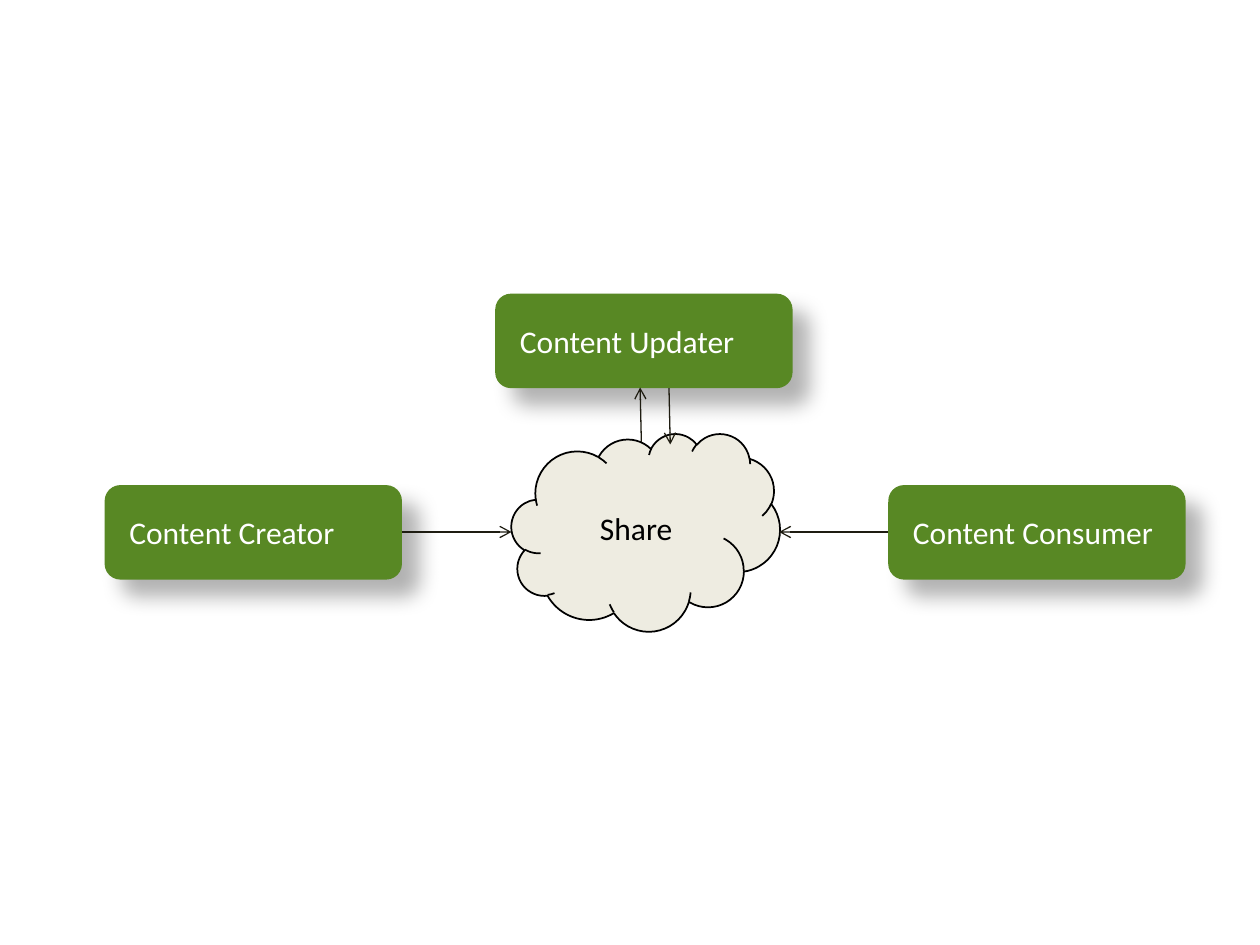
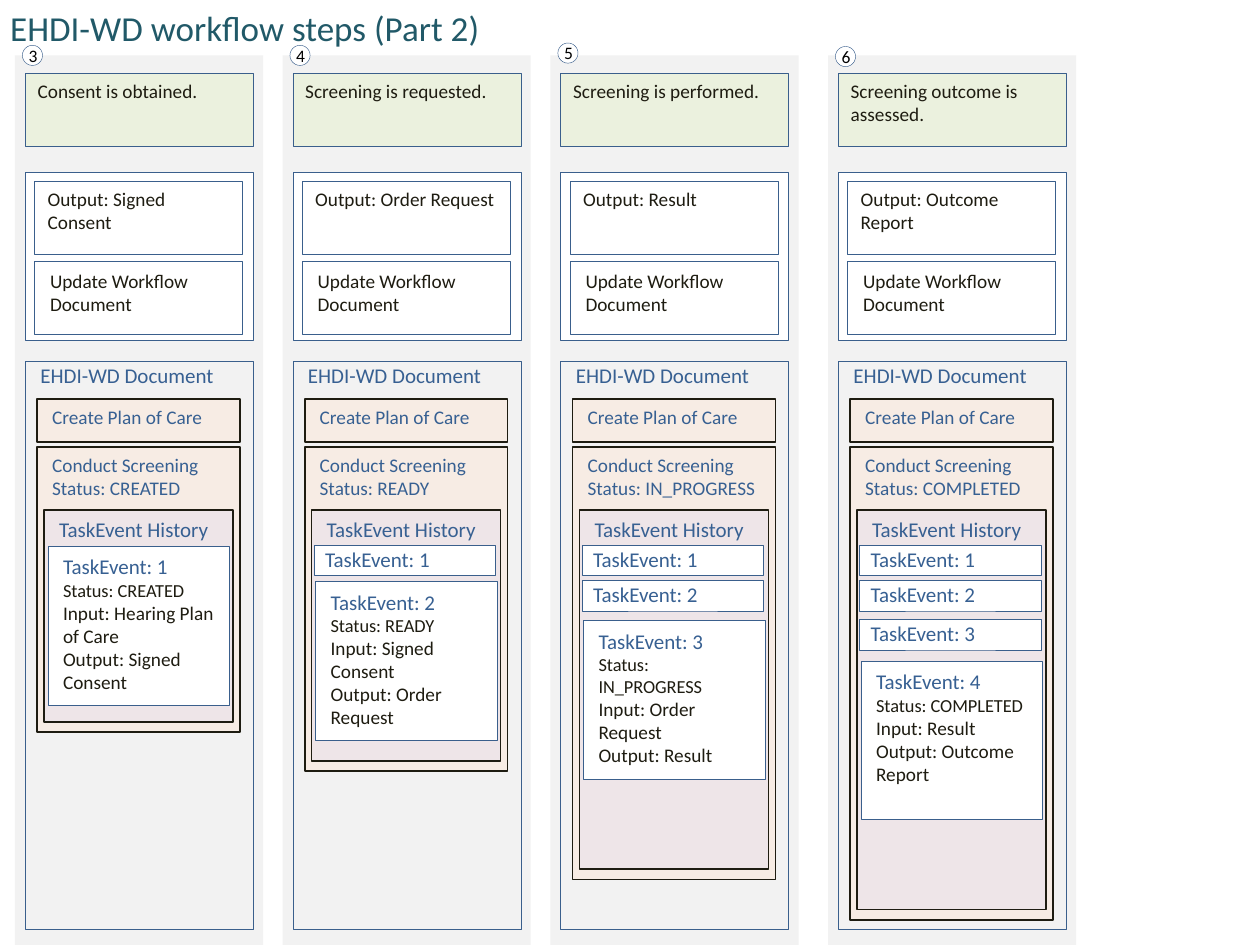
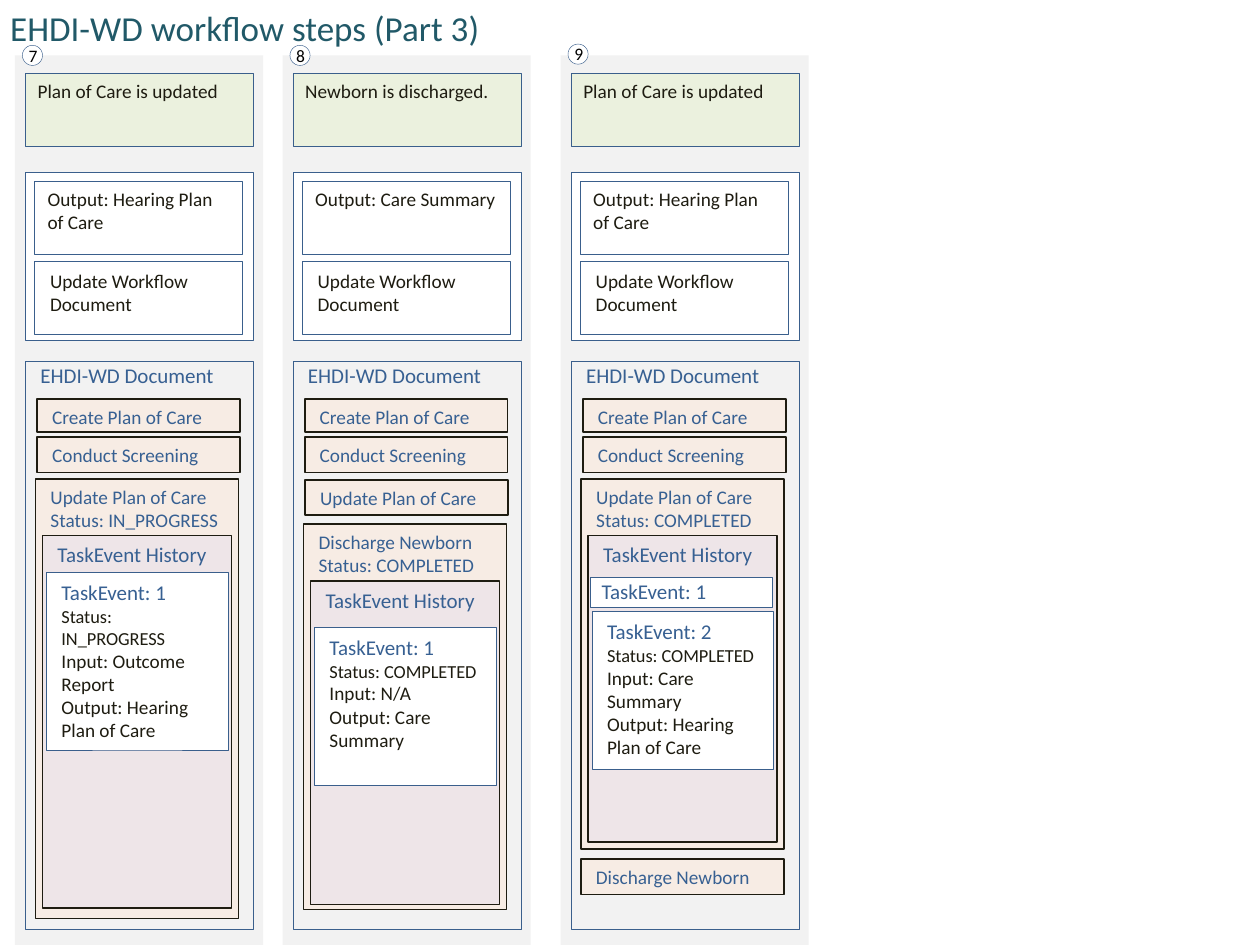
"""Build three slides on the EHDI-WD content sharing workflow."""
from dataclasses import dataclass

from lxml.etree import SubElement
from pptx import Presentation
from pptx.dml.color import RGBColor
from pptx.enum.shapes import MSO_CONNECTOR as Connector, MSO_SHAPE as Shape
from pptx.enum.text import MSO_ANCHOR as Anchor, MSO_AUTO_SIZE as AutoSize, PP_ALIGN as Align
from pptx.oxml.ns import qn
from pptx.util import Pt

COLORS = {
    "actor": "588824",
    "cloud": "EEECE1",
    "title": "215968",
    "heading": "376092",
    "ink": "1E1C11",
    "outline": "3A5F8C",
    "band": "F2F2F2",
    "step": "EBF1DE",
    "task": "FDE8D7",
    "history": "E6E0EC",
    "white": "FFFFFF",
    "black": "000000",
}
FONT = "Calibri"
DEFAULT_INSETS = (7.2, 3.6, 7.2, 3.6)
TASK_INSETS = (8.6, 3.6, 7.2, 3.6)
ACTOR_INSETS = (11.5, 3.6, 7.2, 3.6)
ACTOR_SIZE = (169.9, 54)
TASK_WIDTH = 116
EVENT_WIDTH = 103.7
EVENT_TOPS = (311.8, 331.9, 354.2, 377.3)


@dataclass
class Step:
    """One workflow column: its place, wording and nested task boxes."""

    number: int
    left: float
    badge_top: float
    summary: str
    output: str
    bars: list
    task: str
    status: str
    task_left: float
    task_span: tuple
    history_span: tuple
    event_tops: tuple
    event_input: str
    event_height: float = 90.7


def screening_step(number, left, badge_top, summary, output, status, task_height, event_input):
    """Describe a step of the screening task, with one event for each step so far."""
    return Step(number, left, badge_top, summary, output,
                [("Create Plan of Care", 12.6, 228.2, 24.5)],
                "Conduct Screening", status, 12.6,
                (255.6, task_height), (291.6, task_height - 41.8),
                EVENT_TOPS[:number - 2], event_input)


FINISHED_BARS = [("Create Plan of Care", 12.6, 228.2, 18.7),
                 ("Conduct Screening", 12.6, 249.8, 20.2)]
UPDATE_BAR = ("Update Plan of Care", 12.9, 274.3, 20.2)
DISCHARGE_BAR = ("Discharge Newborn", 11.5, 491, 20.2)

SCREENING_STEPS = [
    screening_step(3, 8.6, 25.9, "Consent is obtained.", "Signed Consent",
                   "CREATED", 162.7, "Hearing Plan of Care"),
    screening_step(4, 161.5, 25.9, "Screening is requested.", "Order Request",
                   "READY", 185, "Signed Consent"),
    screening_step(5, 314.6, 24.6, "Screening is performed.", "Result",
                   "IN_PROGRESS", 247, "Order Request"),
    screening_step(6, 473.2, 26.6, "Screening outcome is assessed.", "Outcome Report",
                   "COMPLETED", 270, "Result"),
]
DISCHARGE_STEPS = [
    Step(7, 8.6, 25.9, "Plan of Care is updated", "Hearing Plan of Care", FINISHED_BARS,
         "Update Plan of Care", "IN_PROGRESS", 11.7, (273.6, 251.3), (306, 213.1),
         (326.5,), "Outcome Report", 101.5),
    Step(8, 161.5, 25.9, "Newborn is discharged.", "Care Summary",
         FINISHED_BARS + [UPDATE_BAR],
         "Discharge Newborn", "COMPLETED", 12, (299.5, 220.3), (332, 185),
         (357.8,), "N/A"),
    Step(9, 320.4, 25.2, "Plan of Care is updated", "Hearing Plan of Care",
         FINISHED_BARS + [DISCHARGE_BAR],
         "Update Plan of Care", "COMPLETED", 11.7, (273.6, 211.7), (306, 175),
         (329.8, 348.7), "Care Summary"),
]


def rgb(name):
    """Return the named colour."""
    return RGBColor.from_string(COLORS[name])


def write_lines(frame, lines, insets=DEFAULT_INSETS, anchor=Anchor.TOP, align=Align.LEFT):
    """Write (text, size, colour) lines as the paragraphs of a text frame."""
    frame.word_wrap = True
    frame.vertical_anchor = anchor
    frame.margin_left, frame.margin_top, frame.margin_right, frame.margin_bottom = map(Pt, insets)
    for index, (text, size, color) in enumerate(lines):
        para = frame.paragraphs[0] if index == 0 else frame.add_paragraph()
        para.text = text
        para.alignment = align
        para.font.name = FONT
        para.font.size = Pt(size)
        para.font.color.rgb = rgb(color)


def add_box(shapes, place, fill=None, line=None, width=0.25, kind=Shape.RECTANGLE, opacity=100):
    """Add a preset shape without a shadow."""
    box = shapes.add_shape(kind, *map(Pt, place))
    box.shadow.inherit = False
    if fill:
        box.fill.solid()
        box.fill.fore_color.rgb = rgb(fill)
        if opacity < 100:
            color = box.element.spPr.find(".//" + qn("a:srgbClr"))
            SubElement(color, qn("a:alpha"), val=str(opacity * 1000))
    else:
        box.fill.background()
    if line:
        box.line.color.rgb = rgb(line)
        box.line.width = Pt(width)
    else:
        box.line.fill.background()
    return box


def add_label(shapes, place, lines, wrap=True):
    """Add a text box that grows with its text."""
    label = shapes.add_textbox(*map(Pt, place))
    write_lines(label.text_frame, lines)
    label.text_frame.word_wrap = wrap
    label.text_frame.auto_size = AutoSize.SHAPE_TO_FIT_TEXT


def add_arrow(page, start, end):
    """Add a thin arrow that points at its end."""
    arrow = page.shapes.add_connector(Connector.STRAIGHT, *map(Pt, start + end))
    arrow.line.width = Pt(0.75)
    arrow.line.color.rgb = rgb("ink")
    properties = arrow.element.spPr
    SubElement(properties.find(qn("a:ln")), qn("a:tailEnd"), type="arrow")
    SubElement(properties, qn("a:effectLst"))


def add_actor(page, left, top, name):
    """Add a rounded actor box with a soft shadow."""
    box = add_box(page.shapes, (left, top) + ACTOR_SIZE, "actor", kind=Shape.ROUNDED_RECTANGLE)
    write_lines(box.text_frame, [(name, 18, "white")], ACTOR_INSETS, Anchor.MIDDLE)
    effects = box.element.spPr.find(qn("a:effectLst"))
    shadow = SubElement(effects, qn("a:outerShdw"), blurRad=str(Pt(12)), dist=str(Pt(14)),
                        dir="2700000", algn="tl", rotWithShape="0")
    color = SubElement(shadow, qn("a:srgbClr"), val=COLORS["black"])
    SubElement(color, qn("a:alpha"), val="30000")


def add_panel(page, place, fill, lines):
    """Add a half-transparent panel with a dark outline and top text."""
    panel = add_box(page.shapes, place, fill, "ink", 1, opacity=50)
    write_lines(panel.text_frame, lines, TASK_INSETS)


def add_badge(page, left, top, number):
    """Add a numbered circle as a group."""
    group = page.shapes.add_group_shape()
    add_box(group.shapes, (left, top, 11.5, 11.5), "white", "outline", kind=Shape.OVAL)
    add_label(group.shapes, (left - 3.5, top - 4, 19.4, 19.4),
              [(str(number), 10, "black")], wrap=False)


def add_activity(page, step):
    """Add the upper half of a column: the step and its outputs."""
    shapes, left = page.shapes, step.left
    step_place = (left + 5.8, 41.8, 130.3, 41.8)
    add_box(shapes, (left, 31.7, 141.8, 508.3), "band")
    add_box(shapes, step_place, "step", "outline")
    add_label(shapes, step_place, [(step.summary, 11, "ink")])
    add_box(shapes, (left + 5.8, 98.6, 130.3, 95.8), "white", "outline")
    for text, top, shift, drop in ((f"Output: {step.output}", 103.7, 0.3, 0),
                                   ("Update Workflow Document", 149, 1.7, 1.4)):
        add_box(shapes, (left + 11.2, top, 118.8, 41.8), line="outline")
        add_label(shapes, (left + 11.2 + shift, top + drop, 118.8, 33.8), [(text, 11, "ink")])


def add_events(page, step, left):
    """Add the earlier events as bars and the latest one in full."""
    shapes = page.shapes
    *earlier_tops, latest_top = step.event_tops
    latest_number = len(step.event_tops)
    for number, top in enumerate(earlier_tops, start=1):
        add_box(shapes, (left + 1.5, top, EVENT_WIDTH, 17.3), "white", "outline", 0.5)
        add_label(shapes, (left + 0.6, top - 3, 104.4, 21.6),
                  [(f"TaskEvent: {number}", 12, "heading")])
    add_box(shapes, (left + 2.4, latest_top + 0.6, EVENT_WIDTH, step.event_height),
            "white", "outline", 0.5)
    add_label(shapes, (left + 3.7, latest_top + 1.2, 101, 87.8), [
        (f"TaskEvent: {latest_number}", 12, "heading"),
        (f"Status: {step.status}", 10.5, "ink"),
        (f"Input: {step.event_input}", 11, "ink"),
        (f"Output: {step.output}", 11, "ink"),
    ])


def add_document(page, step):
    """Add the lower half of a column: the workflow document and its tasks."""
    left = step.left
    add_box(page.shapes, (left + 5.8, 206.6, 130.3, 324.7), line="outline")
    add_label(page.shapes, (left + 7.4, 203.8, 114.5, 21.6),
              [("EHDI-WD Document", 12, "heading")], wrap=False)
    for name, shift, top, height in step.bars:
        add_panel(page, (left + shift, top, TASK_WIDTH, height), "task", [(name, 11, "heading")])
    task_left = left + step.task_left
    task_top, task_height = step.task_span
    add_panel(page, (task_left, task_top, TASK_WIDTH, task_height), "task",
              [(step.task, 11, "heading"), (f"Status: {step.status}", 11, "heading")])
    history_left = task_left + 4
    history_top, history_height = step.history_span
    add_panel(page, (history_left, history_top, 108, history_height), "history",
              [("TaskEvent History", 12, "heading")])
    add_events(page, step, history_left)


def add_title(page, text):
    """Place and format the slide title."""
    title = page.shapes.title
    title.left, title.top, title.width, title.height = map(Pt, (-1.4, 0, 721.4, 31.7))
    write_lines(title.text_frame, [(text, 20, "title")])


def build_sharing_page(deck):
    """Build the diagram of actors around the shared content."""
    page = deck.slides.add_slide(deck.slide_layouts[6])
    add_actor(page, 59.8, 277.2, "Content Creator")
    add_actor(page, 283, 167.8, "Content Updater")
    add_actor(page, 507.6, 277.2, "Content Consumer")
    cloud = add_box(page.shapes, (292.3, 247.7, 153.4, 113), "cloud", "black", 1, Shape.CLOUD)
    write_lines(cloud.text_frame, [("Share", 18, "black")],
                anchor=Anchor.MIDDLE, align=Align.CENTER)
    add_arrow(page, (229.7, 304), (292.3, 304))
    add_arrow(page, (507.6, 304), (445.2, 304))
    add_arrow(page, (366.5, 252.7), (365.8, 221.4))
    add_arrow(page, (382.3, 221.8), (383, 254))


def build_steps_page(deck, title, steps):
    """Build a page of workflow columns."""
    page = deck.slides.add_slide(deck.slide_layouts[5])
    add_title(page, title)
    for step in steps:
        add_activity(page, step)
        add_document(page, step)
        add_badge(page, step.left + 4.2, step.badge_top, step.number)


def main():
    """Build and save the deck."""
    deck = Presentation()
    deck.slide_width, deck.slide_height = Pt(720), Pt(540)
    build_sharing_page(deck)
    build_steps_page(deck, "EHDI-WD workflow steps (Part 2)", SCREENING_STEPS)
    build_steps_page(deck, "EHDI-WD workflow steps (Part 3)", DISCHARGE_STEPS)
    deck.save("out.pptx")


if __name__ == "__main__":
    main()
